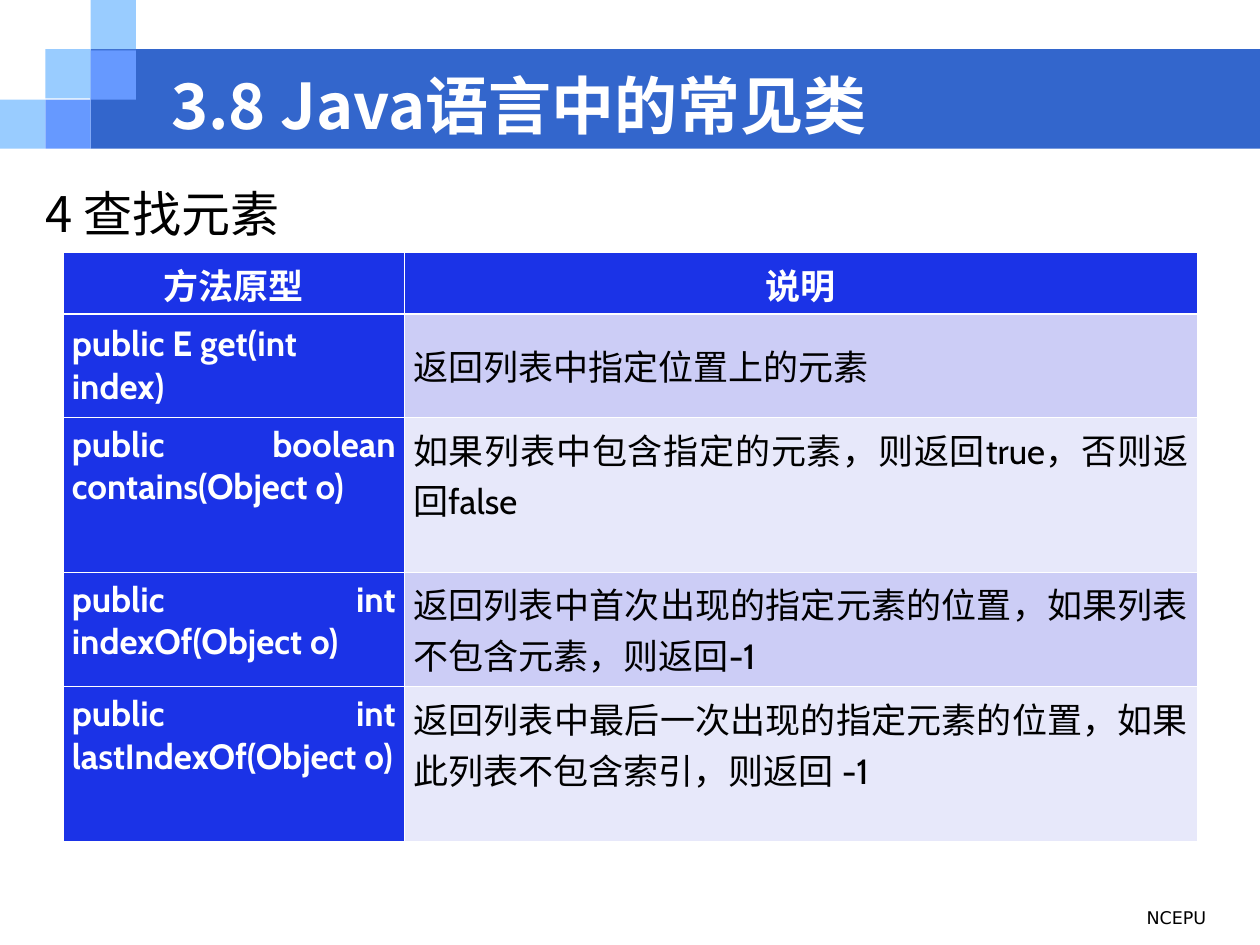
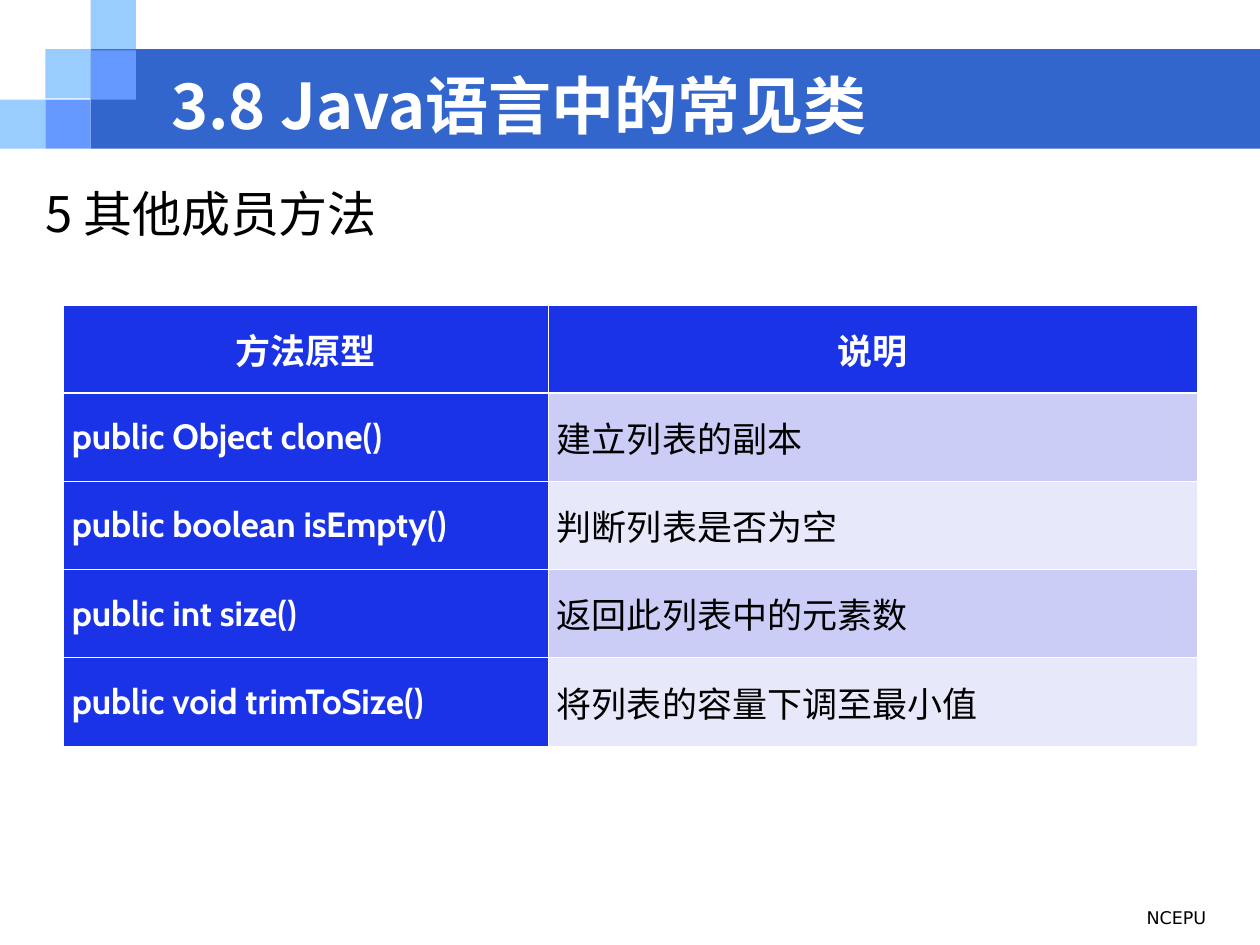
"""Builds two slides on Java list methods, each with a heading and a method table."""
from dataclasses import dataclass

from lxml import etree
from pptx import Presentation
from pptx import util as u
from pptx.dml.color import RGBColor
from pptx.enum import shapes, text
from pptx.oxml.ns import qn


@dataclass(frozen=True)
class Theme:
    band: str = "3366CC"
    light_square: str = "99CCFF"
    mid_square: str = "6699FF"
    header: str = "1B33E7"
    odd_row: str = "CCCDF6"
    even_row: str = "E7E8FA"
    white: str = "FFFFFF"
    black: str = "000000"
    main_font: str = "Noto Sans CJK SC"
    table_font: str = "Cabin"
    footer_font: str = "DejaVu Sans"
    title_size: int = 36
    heading_size: int = 28
    table_size: int = 20
    footer_size: int = 10
    thin_border: float = 0.45
    thick_border: float = 1.47


@dataclass(frozen=True)
class Block:
    left: float
    top: float
    width: float
    height: float
    color: str = ""

    def box(self) -> tuple:
        return tuple(u.Inches(n) for n in (self.left, self.top, self.width, self.height))


@dataclass(frozen=True)
class MethodSlide:
    heading: str
    table_top: float
    columns: tuple
    row_heights: tuple
    methods: tuple
    justified: bool = False


THEME = Theme()
TITLE = "3.8 Java语言中的常见类"
TABLE_HEADER = ("方法原型", "说明")
SQUARE_WIDTH, SQUARE_HEIGHT = 0.36, 0.39


def square(column: int, top: float, color: str) -> Block:
    return Block(column * SQUARE_WIDTH, top, SQUARE_WIDTH, SQUARE_HEIGHT, color)


BANNER = (
    Block(0.72, 0.39, 9.28, 0.79, THEME.band),
    square(0, 0.79, THEME.light_square),
    square(1, 0.39, THEME.light_square),
    square(2, 0, THEME.light_square),
    square(2, 0.4, THEME.mid_square),
    square(1, 0.79, THEME.mid_square),
)

SLIDES = (
    MethodSlide(
        "4 查找元素", 2, (2.71, 6.29), (0.49, 0.82, 1.23, 0.91, 1.23),
        (
            ("public E get(int index)", "返回列表中指定位置上的元素"),
            ("public boolean contains(Object o)",
             "如果列表中包含指定的元素，则返回true，否则返回false"),
            ("public int indexOf(Object o)",
             "返回列表中首次出现的指定元素的位置，如果列表不包含元素，则返回-1"),
            ("public int lastIndexOf(Object o)",
             "返回列表中最后一次出现的指定元素的位置，如果此列表不包含索引，则返回 -1"),
        ),
        justified=True,
    ),
    MethodSlide(
        "5 其他成员方法", 2.42, (3.85, 5.15), (0.7,) * 5,
        (
            ("public Object clone()", "建立列表的副本"),
            ("public boolean isEmpty()", "判断列表是否为空"),
            ("public int size()", "返回此列表中的元素数"),
            ("public void trimToSize()", "将列表的容量下调至最小值"),
        ),
    ),
)


def write_text(frame, content: str, *, size: int, font: str, color: str, bold: bool = False,
               align=text.PP_ALIGN.LEFT, line_spacing: float = 1.0) -> None:
    paragraph = frame.paragraphs[0]
    paragraph.alignment = align
    paragraph.line_spacing = line_spacing
    run = paragraph.add_run()
    run.text = content
    run.font.size = u.Pt(size)
    run.font.name = font
    run.font.bold = bold
    run.font.color.rgb = RGBColor.from_string(color)
    east_asian = etree.Element(qn("a:ea"), typeface=THEME.main_font)
    run.font._element.find(qn("a:latin")).addnext(east_asian)


def add_text_box(slide, block: Block, content: str, *, anchor=text.MSO_ANCHOR.TOP,
                 **text_format) -> None:
    frame = slide.shapes.add_textbox(*block.box()).text_frame
    frame.word_wrap = True
    frame.vertical_anchor = anchor
    write_text(frame, content, **text_format)


def add_block(slide, block: Block) -> None:
    shape = slide.shapes.add_shape(shapes.MSO_SHAPE.RECTANGLE, *block.box())
    shape.shadow.inherit = False
    shape.fill.solid()
    shape.fill.fore_color.rgb = RGBColor.from_string(block.color)
    shape.line.fill.background()


def set_borders(cell, row: int) -> None:
    thick_side = {0: "lnB", 1: "lnT"}.get(row)
    properties = cell._tc.get_or_add_tcPr()
    for side in ("lnL", "lnR", "lnT", "lnB"):
        width = THEME.thick_border if side == thick_side else THEME.thin_border
        line = etree.SubElement(properties, qn(f"a:{side}"), w=str(u.Pt(width)))
        fill = etree.SubElement(line, qn("a:solidFill"))
        etree.SubElement(fill, qn("a:srgbClr"), val=THEME.white)


def fill_cell(cell, row: int, column: int, content: str, justified: bool) -> None:
    emphasized = row == 0 or column == 0
    body_color = THEME.odd_row if row % 2 else THEME.even_row
    set_borders(cell, row)
    cell.fill.solid()
    cell.fill.fore_color.rgb = RGBColor.from_string(THEME.header if emphasized else body_color)
    cell.margin_left = cell.margin_right = u.Inches(0.07)
    cell.margin_top = cell.margin_bottom = u.Inches(0.05)
    spread = justified and row > 1
    cell.vertical_anchor = text.MSO_ANCHOR.TOP if spread else text.MSO_ANCHOR.MIDDLE
    align = text.PP_ALIGN.JUSTIFY if spread else text.PP_ALIGN.LEFT
    write_text(cell.text_frame, content, size=THEME.table_size, font=THEME.table_font,
               color=THEME.white if emphasized else THEME.black, bold=emphasized,
               align=align if row else text.PP_ALIGN.CENTER)


def add_method_table(slide, content: MethodSlide) -> None:
    rows = (TABLE_HEADER, *content.methods)
    block = Block(0.5, content.table_top, sum(content.columns), sum(content.row_heights))
    table = slide.shapes.add_table(len(rows), len(content.columns), *block.box()).table
    for column, width in zip(table.columns, content.columns):
        column.width = u.Inches(width)
    for row, height in zip(table.rows, content.row_heights):
        row.height = u.Inches(height)
    for row, values in enumerate(rows):
        for column, value in enumerate(values):
            fill_cell(table.cell(row, column), row, column, value, content.justified)


def add_method_slide(presentation, content: MethodSlide) -> None:
    slide = presentation.slides.add_slide(presentation.slide_layouts[6])
    for block in BANNER:
        add_block(slide, block)
    add_text_box(slide, Block(6.5, 7.15, 3.17, 0.35), "NCEPU", size=THEME.footer_size,
                 font=THEME.footer_font, color=THEME.black, align=text.PP_ALIGN.RIGHT)
    add_text_box(slide, Block(1.26, 0.56, 8.08, 0.53), TITLE, size=THEME.title_size,
                 font=THEME.main_font, color=THEME.white, bold=True,
                 anchor=text.MSO_ANCHOR.MIDDLE)
    add_text_box(slide, Block(0.26, 1.17, 9.58, 6.33), content.heading,
                 size=THEME.heading_size, font=THEME.main_font, color=THEME.black,
                 line_spacing=1.5)
    add_method_table(slide, content)


def main() -> None:
    presentation = Presentation()
    presentation.slide_width = u.Inches(10)
    presentation.slide_height = u.Inches(7.5)
    for content in SLIDES:
        add_method_slide(presentation, content)
    presentation.save("out.pptx")


if __name__ == "__main__":
    main()
